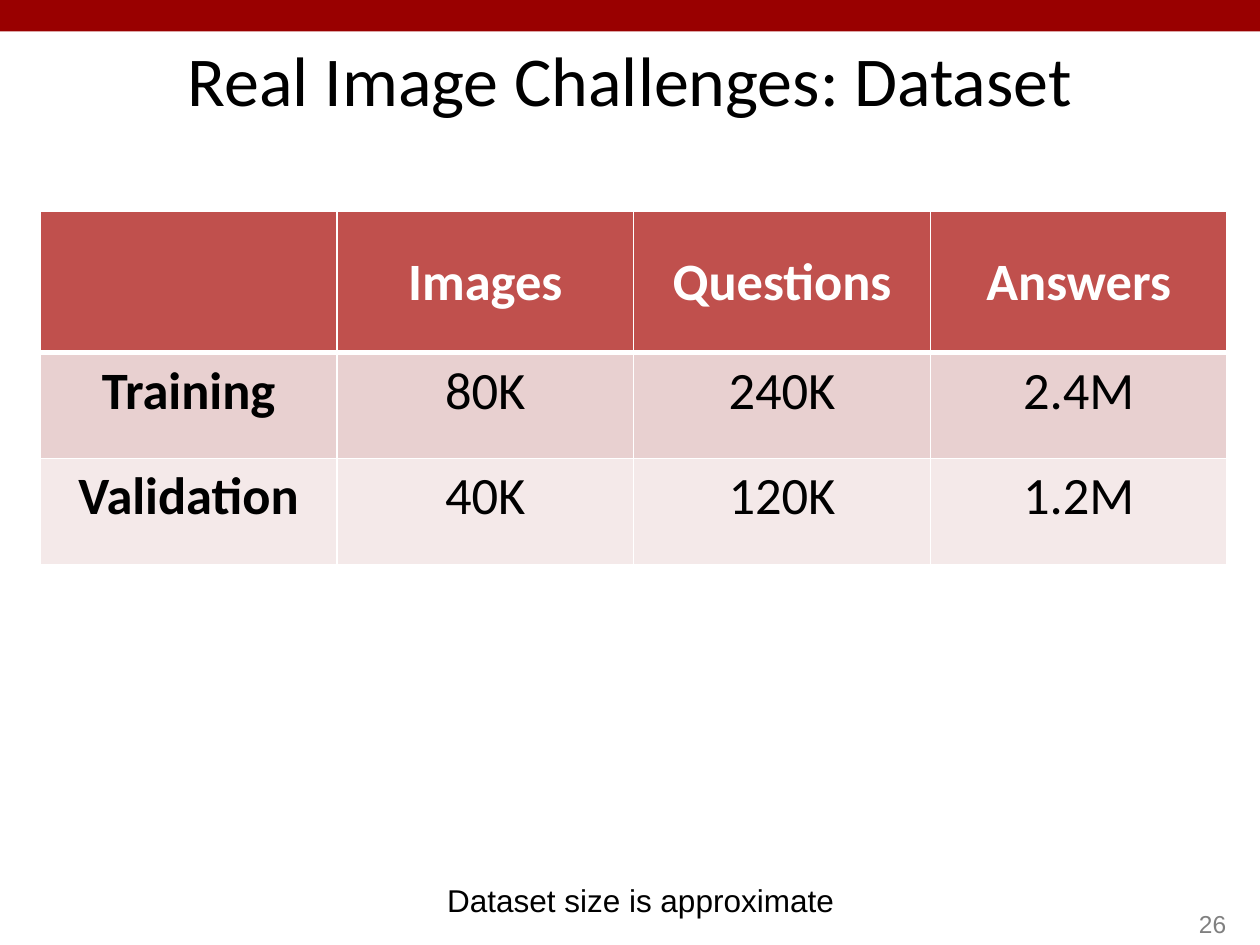
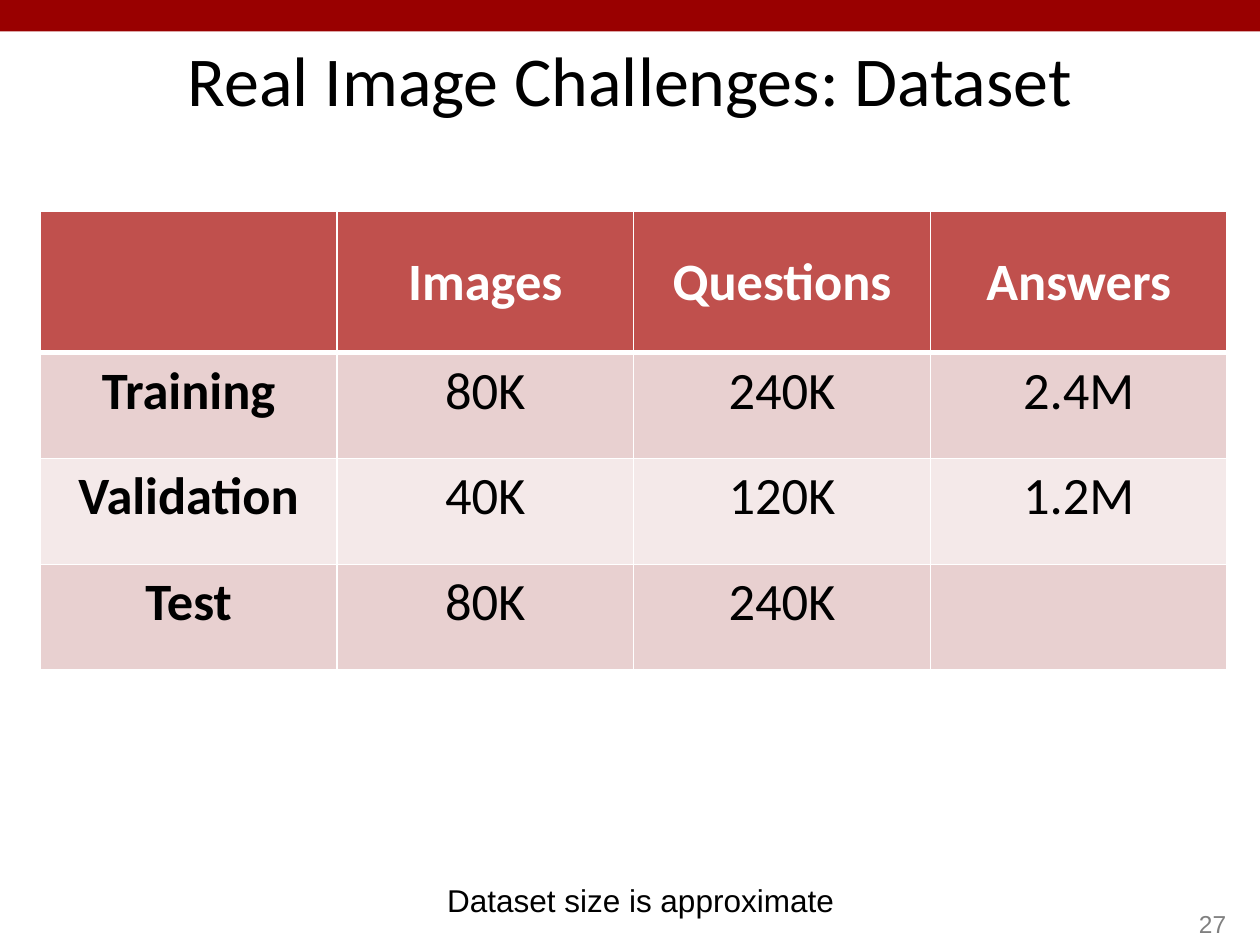
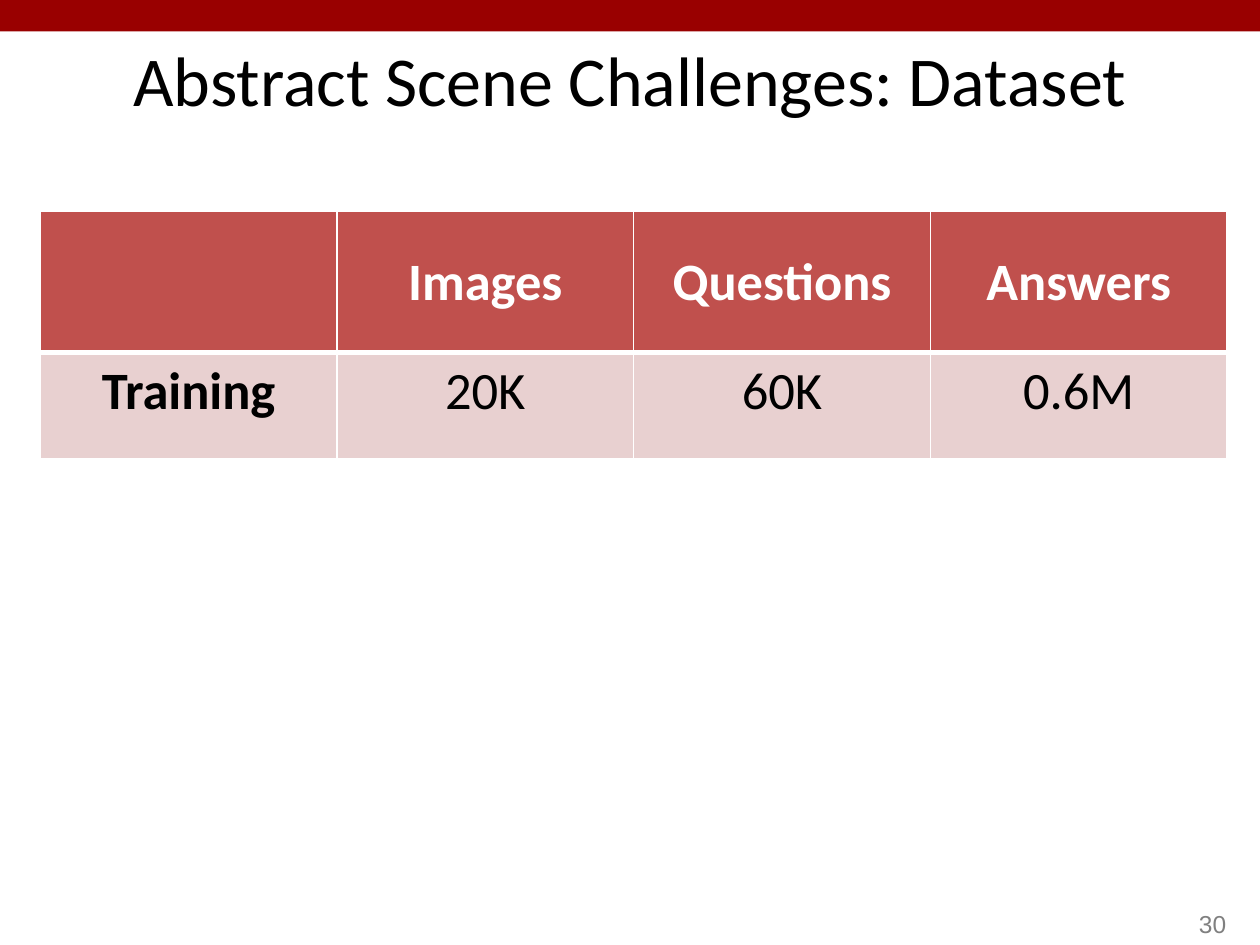
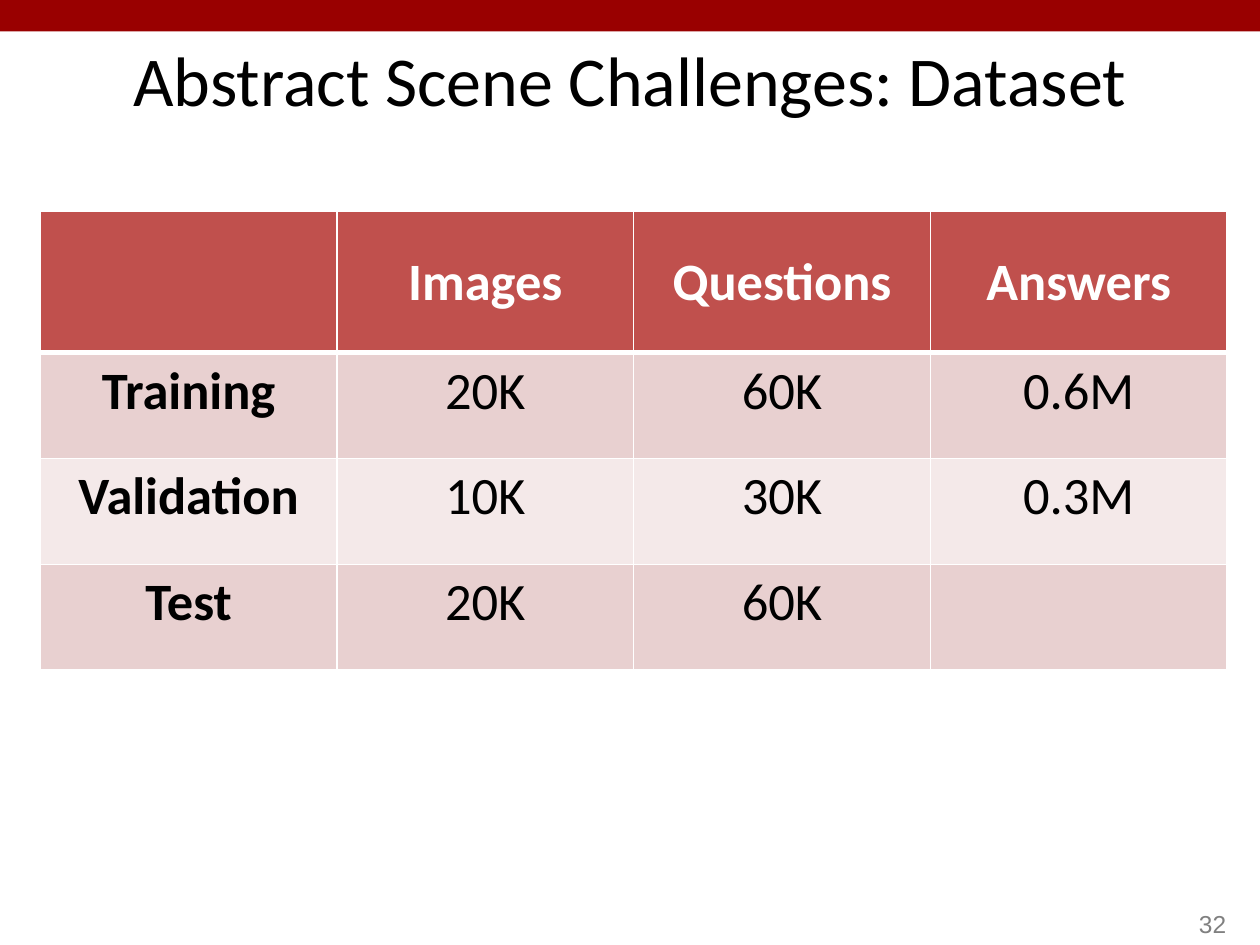
from lxml import etree
from pptx import Presentation
from pptx import util as u
from pptx.dml.color import RGBColor
from pptx.enum import shapes, text
from pptx.oxml.ns import qn

BAND, HEADER, ODD_ROW, EVEN_ROW = "990000", "C0504D", "E8D0D0", "F4E9E9"
WHITE, BLACK, GREY = "FFFFFF", "000000", "808080"
HEADINGS = ["", "Images", "Questions", "Answers"]
HEADER_HEIGHT, ROW_HEIGHT = 1.12, 0.84

BAND_BOX = (0, 0, 10, 0.25)
TITLE_BOX = (0.75, 0.25, 8.5, 0.75)
TABLE_BOX = (0.32, 1.68, 9.42)
CAPTION_BOX = (3.45, 6.94, 3.31, 0.4)
NUMBER_BOX = (7.75, 7, 2.08, 0.5)

REAL_ROWS = [
    ["Training", "80K", "240K", "2.4M"],
    ["Validation", "40K", "120K", "1.2M"],
    ["Test", "80K", "240K", ""],
]
ABSTRACT_ROWS = [
    ["Training", "20K", "60K", "0.6M"],
    ["Validation", "10K", "30K", "0.3M"],
    ["Test", "20K", "60K", ""],
]
REAL_TITLE = "Real Image Challenges: Dataset"
ABSTRACT_TITLE = "Abstract Scene Challenges: Dataset"
CAPTION = "Dataset size is approximate"
SLIDES = [
    (REAL_TITLE, REAL_ROWS[:2], CAPTION, 26),
    (REAL_TITLE, REAL_ROWS, CAPTION, 27),
    (ABSTRACT_TITLE, ABSTRACT_ROWS[:1], None, 30),
    (ABSTRACT_TITLE, ABSTRACT_ROWS, None, 32),
]


def rgb(color):
    return RGBColor.from_string(color)


def inches(box):
    return [u.Inches(length) for length in box]


def write(frame, words, size, font, color, align, bold=False):
    frame.text = words
    paragraph = frame.paragraphs[0]
    paragraph.alignment = align
    for run in paragraph.runs:
        run.font.size = u.Pt(size)
        run.font.name = font
        run.font.bold = bold
        run.font.color.rgb = rgb(color)


def add_band(slide, box):
    band = slide.shapes.add_shape(shapes.MSO_SHAPE.RECTANGLE, *inches(box))
    band.shadow.inherit = False
    band.fill.solid()
    band.fill.fore_color.rgb = rgb(BAND)
    band.line.fill.background()


def place_title(slide, box, words):
    title = slide.shapes.title
    title.left, title.top, title.width, title.height = inches(box)
    title.text_frame.vertical_anchor = text.MSO_ANCHOR.MIDDLE
    write(title.text_frame, words, 40, "Calibri", BLACK, text.PP_ALIGN.CENTER)


def add_note(slide, box, words, size, color, align, anchor):
    frame = slide.shapes.add_textbox(*inches(box)).text_frame
    frame.word_wrap = True
    frame.vertical_anchor = anchor
    write(frame, words, size, "Arial", color, align)


def set_borders(cell, top, bottom):
    properties = cell._tc.get_or_add_tcPr()
    for side, points in (("L", 1), ("R", 1), ("T", top), ("B", bottom)):
        border = etree.SubElement(properties, qn(f"a:ln{side}"), w=str(u.Pt(points)))
        fill = etree.SubElement(border, qn("a:solidFill"))
        etree.SubElement(fill, qn("a:srgbClr"), val=WHITE)


def add_dataset_table(slide, box, rows):
    left, top, width = box
    height = HEADER_HEIGHT + ROW_HEIGHT * len(rows)
    frame = slide.shapes.add_table(len(rows) + 1, len(HEADINGS),
                                   *inches((left, top, width, height)))
    table = frame.table
    for column in table.columns:
        column.width = u.Inches(width / len(HEADINGS))
    for r, values in enumerate([HEADINGS] + rows):
        is_header = r == 0
        table.rows[r].height = u.Inches(HEADER_HEIGHT if is_header else ROW_HEIGHT)
        row_fill = HEADER if is_header else (EVEN_ROW, ODD_ROW)[r % 2]
        for c, value in enumerate(values):
            cell = table.cell(r, c)
            set_borders(cell, 3 if r == 1 else 1, 3 if is_header else 1)
            cell.fill.solid()
            cell.fill.fore_color.rgb = rgb(row_fill)
            cell.vertical_anchor = text.MSO_ANCHOR.MIDDLE if is_header else text.MSO_ANCHOR.TOP
            write(cell.text_frame, value, 30, "Calibri", WHITE if is_header else BLACK,
                  text.PP_ALIGN.CENTER, bold=is_header or c == 0)


def add_dataset_slide(deck, title, rows, caption, number):
    slide = deck.slides.add_slide(deck.slide_layouts[5])
    add_band(slide, BAND_BOX)
    place_title(slide, TITLE_BOX, title)
    add_dataset_table(slide, TABLE_BOX, rows)
    if caption:
        add_note(slide, CAPTION_BOX, caption, 18, BLACK,
                 text.PP_ALIGN.LEFT, text.MSO_ANCHOR.TOP)
    add_note(slide, NUMBER_BOX, str(number), 14, GREY,
             text.PP_ALIGN.RIGHT, text.MSO_ANCHOR.BOTTOM)


def main():
    deck = Presentation()
    deck.slide_width, deck.slide_height = inches((10, 7.5))
    for content in SLIDES:
        add_dataset_slide(deck, *content)
    deck.save("out.pptx")


if __name__ == "__main__":
    main()
